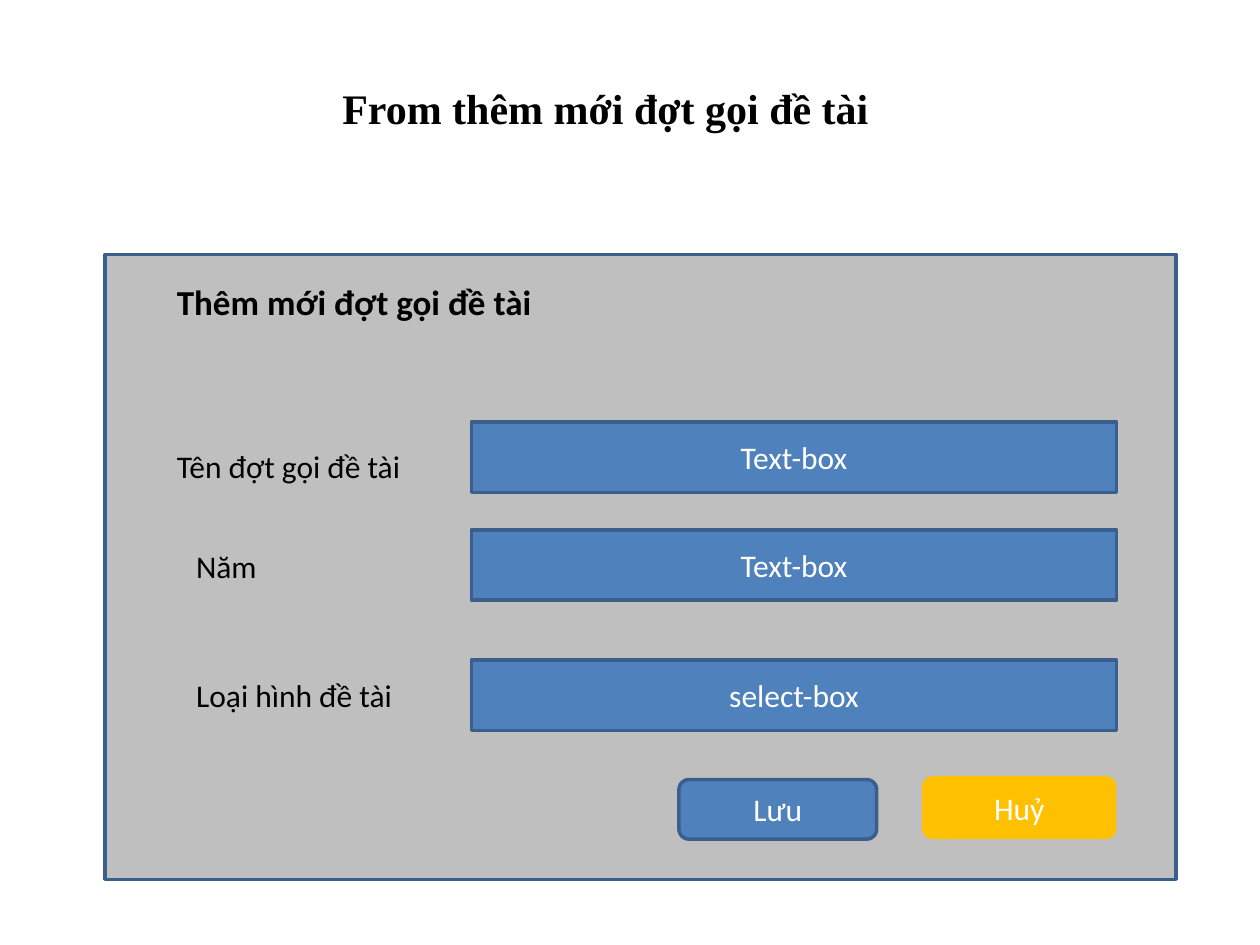
from pptx import Presentation
from pptx.dml.color import RGBColor
from pptx.enum.shapes import MSO_SHAPE as Shape
from pptx.enum.text import MSO_ANCHOR as Anchor, PP_ALIGN as Align
from pptx.util import Pt

COLORS = {
    "text": "000000",
    "light": "FFFFFF",
    "panel": "BFBFBF",
    "field": "4F81BD",
    "outline": "3A5F8C",
    "cancel": "FFC000",
}


def color(name):
    return RGBColor.from_string(COLORS[name])


def write(frame, text, size=18, font="Calibri", ink="text", bold=False,
          align=Align.LEFT, anchor=Anchor.TOP):
    frame.word_wrap = True
    frame.vertical_anchor = anchor
    para = frame.paragraphs[0]
    para.alignment = align
    span = para.add_run()
    span.text = text
    span.font.size = Pt(size)
    span.font.name = font
    span.font.bold = bold
    span.font.color.rgb = color(ink)


def add_label(page, box, text, **style):
    label = page.shapes.add_textbox(*map(Pt, box))
    write(label.text_frame, text, **style)


def add_block(page, box, text=None, kind=Shape.RECTANGLE, fill="field",
              outline="outline"):
    block = page.shapes.add_shape(kind, *map(Pt, box))
    block.shadow.inherit = False
    block.fill.solid()
    block.fill.fore_color.rgb = color(fill)
    if outline:
        block.line.color.rgb = color(outline)
        block.line.width = Pt(2)
    else:
        block.line.fill.background()
    if text:
        write(block.text_frame, text, ink="light", align=Align.CENTER,
              anchor=Anchor.MIDDLE)


def add_title(page, box):
    add_label(page, box, "From thêm mới đợt gọi đề tài", size=24,
              font="Times New Roman", bold=True, align=Align.CENTER)


def add_form(page, box):
    left, top, width, height = box
    add_block(page, box, fill="panel")
    add_label(page, (left + 34, top + 11.5, 272, 31.5),
              "Thêm mới đợt gọi đề tài", size=20, bold=True)

    # Fields: label, label offset (x, y) and width, control, control offset y
    fields = [
        ("Tên đợt gọi đề tài", 34, 106.5, 176, "Text-box", 95.75),
        ("Năm", 45, 163.5, 125, "Text-box", 157.25),
        ("Loại hình đề tài", 45, 237, 142, "select-box", 231.75),
    ]
    right = left + width - 34
    control_width = 368.5
    for label, label_x, label_y, label_width, control, control_y in fields:
        add_label(page, (left + label_x, top + label_y, label_width, 29), label)
        add_block(page, (right - control_width, top + control_y,
                         control_width, 40.25), control)

    # Buttons, the second flush with the fields
    bottom = top + height - 23
    add_block(page, (left + 328, bottom - 34, 113, 34), "Lưu",
              kind=Shape.ROUNDED_RECTANGLE)
    add_block(page, (right - 111, bottom - 36, 111, 36), "Huỷ",
              kind=Shape.ROUNDED_RECTANGLE, fill="cancel", outline=None)


def main():
    deck = Presentation()
    deck.slide_width, deck.slide_height = Pt(720), Pt(540)
    page = deck.slides.add_slide(deck.slide_layouts[6])
    add_title(page, (105, 43.5, 482, 36))
    add_form(page, (60, 145.5, 612, 357))
    deck.save("out.pptx")


if __name__ == "__main__":
    main()
